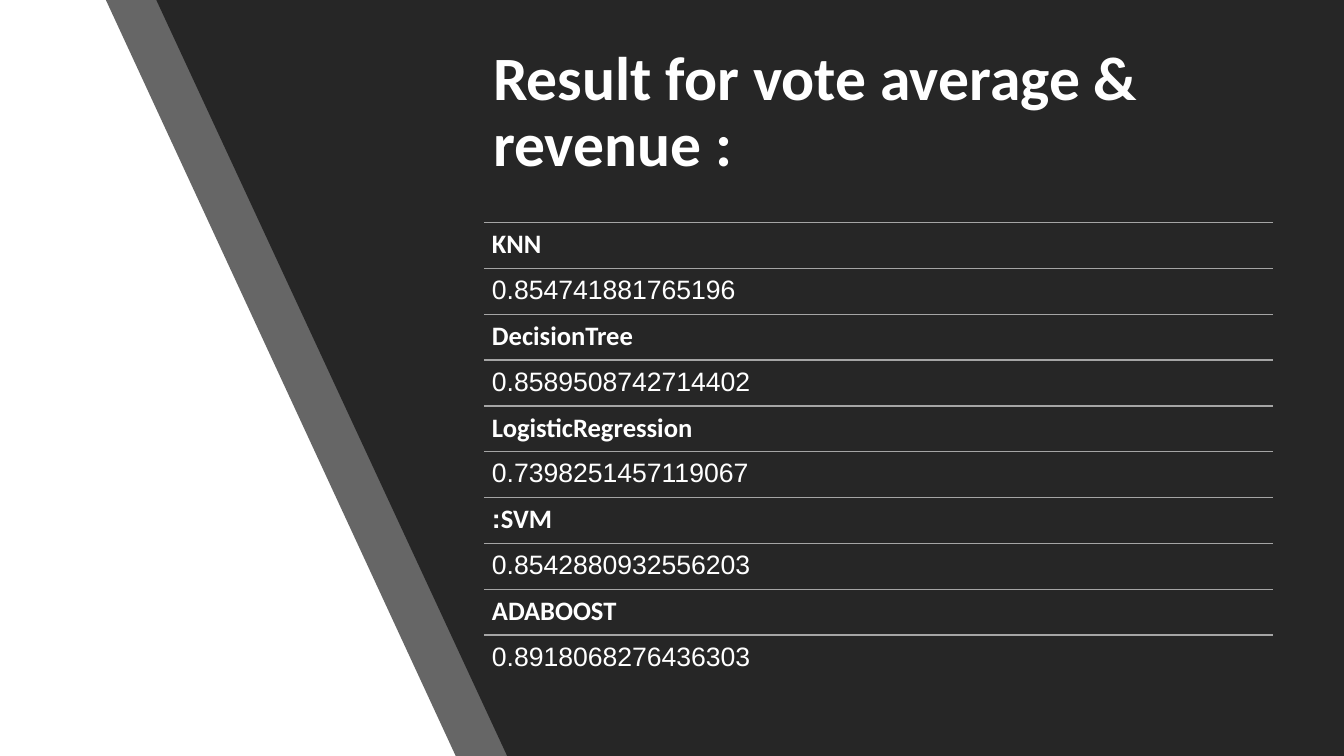
from lxml import etree
from pptx import Presentation
from pptx.dml.color import RGBColor
from pptx.enum.shapes import MSO_CONNECTOR, MSO_SHAPE
from pptx.enum.text import MSO_ANCHOR, MSO_AUTO_SIZE, PP_ALIGN
from pptx.oxml.ns import qn
from pptx.util import Inches, Pt

BLACK = RGBColor(0x00, 0x00, 0x00)
WHITE = RGBColor(0xFF, 0xFF, 0xFF)
DARK = RGBColor(0x26, 0x26, 0x26)
GRAY = RGBColor(0xA5, 0xA5, 0xA5)
LEFT = PP_ALIGN.LEFT
TOP = MSO_ANCHOR.TOP
MIDDLE = MSO_ANCHOR.MIDDLE
FIXED = MSO_AUTO_SIZE.NONE
STRAIGHT = MSO_CONNECTOR.STRAIGHT
RECT = MSO_SHAPE.RECTANGLE

FONT = "Calibri"
DIGIT_FONT = "Arial"
WIDTH, HEIGHT = 13.33, 7.5
LIST_LEFT, LIST_RIGHT = 4.8, 12.63
FIRST, LAST = 2.21, 6.3

SCORES = [
    ("KNN", "0.854741881765196"),
    ("DecisionTree", "0.8589508742714402"),
    ("LogisticRegression", "0.7398251457119067"),
    ("SVM:", "0.8542880932556203"),
    ("ADABOOST", "0.8918068276436303"),
]


def paint(shape, color, alpha=None):
    shape.shadow.inherit = False
    shape.line.fill.background()
    shape.fill.solid()
    shape.fill.fore_color.rgb = color
    if alpha is not None:
        tint = shape.fill._xPr.find(qn("a:solidFill"))[0]
        etree.SubElement(tint, qn("a:alpha"), val=str(alpha * 1000))


def add_slant(slide, top, bottom, alpha=None):
    """Fill the slide to the right of a slanted edge."""
    points = [(bottom, HEIGHT), (top, 0), (WIDTH, 0)]
    pen = slide.shapes.build_freeform(Inches(WIDTH), Inches(HEIGHT))
    pen.add_line_segments([(Inches(x), Inches(y)) for x, y in points])
    paint(pen.convert_to_shape(), DARK, alpha)


def add_rule(slide, y):
    rule = slide.shapes.add_connector(
        STRAIGHT, Inches(LIST_LEFT), Inches(y), Inches(LIST_RIGHT), Inches(y))
    rule.line.color.rgb = GRAY
    rule.line.width = Pt(1)
    etree.SubElement(rule._element.spPr, qn("a:effectLst"))


def write(frame, text, size, bold=False, anchor=TOP, after=0, rtl=False):
    frame.word_wrap = True
    frame.auto_size = FIXED
    frame.vertical_anchor = anchor
    para = frame.paragraphs[0]
    para.alignment = LEFT
    para.line_spacing = 0.9
    para.space_after = Pt(after)
    run = para.add_run()
    run.text = text
    font = run.font
    font.name, font.size, font.bold = FONT, Pt(size), bold
    font.color.rgb = WHITE
    if rtl:
        para._p.get_or_add_pPr().set("rtl", "1")
        etree.SubElement(font._element, qn("a:cs"), typeface=DIGIT_FONT)


def add_title(slide, text):
    title = slide.shapes.title
    title.left, title.top = Inches(4.79), Inches(0.4)
    title.width, title.height = Inches(7.84), Inches(1.45)
    write(title.text_frame, text, 44, bold=True, anchor=MIDDLE, after=6)


def add_row(slide, y, height, text, bold):
    add_rule(slide, y)
    box = slide.shapes.add_textbox(
        Inches(LIST_LEFT), Inches(y),
        Inches(LIST_RIGHT - LIST_LEFT), Inches(height))
    frame = box.text_frame
    frame.margin_left = frame.margin_right = Inches(0.08)
    frame.margin_top = frame.margin_bottom = Inches(0.08)
    write(frame, text, 19, bold=bold, rtl=True)


def add_scores(slide):
    rows = [(text, bold) for name, score in SCORES
            for text, bold in ((name, True), (score, False))]
    step = (LAST - FIRST) / (len(rows) - 1)
    for i, (text, bold) in enumerate(rows):
        add_row(slide, FIRST + i * step, step, text, bold)


def main():
    deck = Presentation()
    deck.slide_width, deck.slide_height = Inches(WIDTH), Inches(HEIGHT)
    slide = deck.slides.add_slide(deck.slide_layouts[5])
    slide.background.fill.solid()
    slide.background.fill.fore_color.rgb = BLACK

    base = slide.shapes.add_shape(
        RECT, 0, 0, deck.slide_width, deck.slide_height)
    paint(base, WHITE)
    add_slant(slide, 1.05, 4.52, alpha=70)
    add_slant(slide, 1.55, 5.03)

    title = slide.shapes.title._element
    title.getparent().append(title)
    add_title(slide, "Result for vote average & revenue :")
    add_scores(slide)
    deck.save("out.pptx")


if __name__ == "__main__":
    main()
